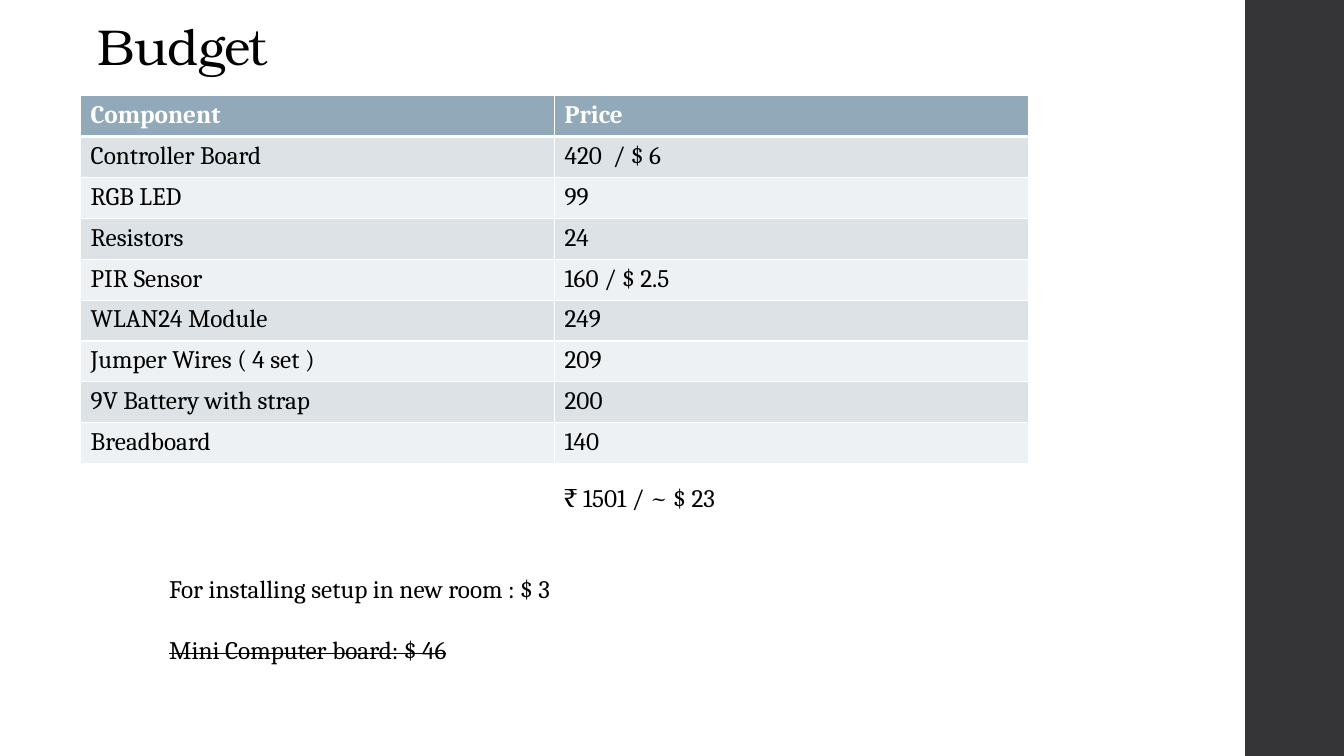
from lxml import etree
from pptx import Presentation
from pptx.dml.color import RGBColor
from pptx.enum.shapes import MSO_SHAPE
from pptx.enum.text import MSO_ANCHOR
from pptx.oxml.ns import qn
from pptx.util import Inches, Pt

RECTANGLE = MSO_SHAPE.RECTANGLE
TOP, BOTTOM = MSO_ANCHOR.TOP, MSO_ANCHOR.BOTTOM

COLOURS = {
    "text": "000000",
    "white": "FFFFFF",
    "side_bar": "353537",
    "header": "92A9B9",
    "odd_row": "DCE2E6",
    "even_row": "EEF1F3",
}
TITLE_FONT = "TeX Gyre Bonum"
BODY_FONT = "Cambria"
BODY_SIZE = 18

BUDGET = [
    ("Component", "Price"),
    ("Controller Board", "420  / $ 6"),
    ("RGB LED", "99"),
    ("Resistors", "24"),
    ("PIR Sensor", "160 / $ 2.5"),
    ("WLAN24 Module", "249"),
    ("Jumper Wires ( 4 set )", "209"),
    ("9V Battery with strap", "200"),
    ("Breadboard", "140"),
]


def colour(name):
    return RGBColor.from_string(COLOURS[name])


def style_paragraph(para, size=BODY_SIZE, font=BODY_FONT, ink="text", bold=False):
    for span in para.runs:
        span.font.size = Pt(size)
        span.font.name = font
        span.font.bold = bold
        span.font.color.rgb = colour(ink)


def add_text(page, left, top, width, height, lines, anchor=TOP, **style):
    box = page.shapes.add_textbox(
        Inches(left), Inches(top), Inches(width), Inches(height))
    frame = box.text_frame
    frame.word_wrap = True
    frame.vertical_anchor = anchor
    frame.text = "\n".join(lines)
    for para in frame.paragraphs:
        style_paragraph(para, **style)
    return frame.paragraphs


def add_side_bar(page):
    bar = page.shapes.add_shape(
        RECTANGLE, Inches(12.35), Inches(0), Inches(1), Inches(7.5))
    bar.shadow.inherit = False
    bar.fill.solid()
    bar.fill.fore_color.rgb = colour("side_bar")
    bar.line.fill.background()


def set_borders(cell, bottom_width, top_width):
    # Borders come before the fill in the cell properties
    properties = cell._tc.get_or_add_tcPr()
    widths = {"a:lnL": 1, "a:lnR": 1, "a:lnT": top_width, "a:lnB": bottom_width}
    for side, width in widths.items():
        line = etree.SubElement(properties, qn(side), w=str(Pt(width)))
        fill = etree.SubElement(line, qn("a:solidFill"))
        etree.SubElement(fill, qn("a:srgbClr"), val=COLOURS["white"])


def add_budget_table(page, rows):
    table = page.shapes.add_table(
        len(rows), 2, Inches(0.8), Inches(0.95), Inches(9.4), Inches(3.65)).table
    for row_index, row in enumerate(rows):
        is_header = row_index == 0
        if is_header:
            fill = "header"
        else:
            fill = "odd_row" if row_index % 2 else "even_row"
        for column_index, text in enumerate(row):
            cell = table.cell(row_index, column_index)
            set_borders(cell, 3 if is_header else 1, 3 if row_index == 1 else 1)
            cell.fill.solid()
            cell.fill.fore_color.rgb = colour(fill)
            cell.text_frame.text = text
            style_paragraph(cell.text_frame.paragraphs[0],
                            ink="white" if is_header else "text", bold=is_header)


def main():
    deck = Presentation()
    deck.slide_width, deck.slide_height = Inches(13.33), Inches(7.5)
    page = deck.slides.add_slide(deck.slide_layouts[6])

    add_side_bar(page)

    # Title
    title = add_text(page, 0.87, 0, 9.71, 0.81, ["Budget"],
                     anchor=BOTTOM, size=36, font=TITLE_FONT)[0]
    title.line_spacing = 0.9
    title.runs[0].font._element.set("spc", "-50")

    # Prices and total
    add_budget_table(page, BUDGET)
    add_text(page, 5.49, 4.74, 2.82, 0.4, ["₹ 1501 / ~ $ 23"])

    # Extra costs, the second one struck out
    extras = add_text(page, 1.58, 5.64, 4.58, 1.01, [
        "For installing setup in new room : $ 3", "Mini Computer board: $ 46"])
    extras[1].space_before = Pt(22)
    extras[1].runs[0].font._element.set("strike", "sngStrike")

    deck.save("out.pptx")


if __name__ == "__main__":
    main()
